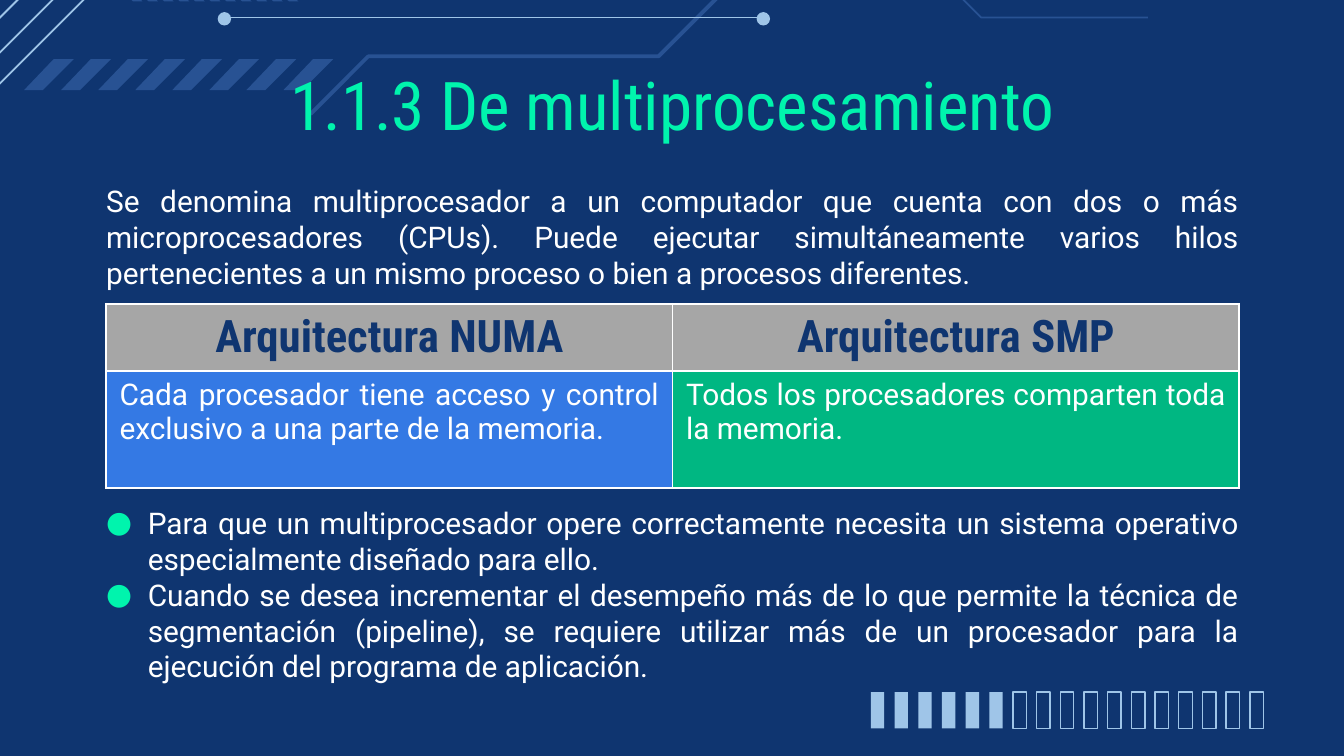
"""Build the slide on multiprocessing with its table and circuit decoration."""
import pptx
import pptx.dml.color
import pptx.enum.shapes
import pptx.enum.text
import pptx.oxml
import pptx.oxml.ns
import pptx.util
from lxml import etree

Inches = pptx.util.Inches
Pt = pptx.util.Pt
ALIGN = pptx.enum.text.PP_ALIGN
SHAPES = pptx.enum.shapes.MSO_SHAPE
NAVY, SKY, STEEL, MINT, WHITE = "0F3570", "9FC5E8", "285293", "00F4AD", "FFFFFF"


def paint(fill, colour):
    """Give a fill one solid colour."""
    fill.solid()
    fill.fore_color.rgb = pptx.dml.color.RGBColor.from_string(colour)


def write(para, text, look, colour, align):
    """Add a formatted run of text to a paragraph."""
    para.alignment = align
    span = para.add_run()
    span.text = text
    for name, value in look.items():
        setattr(span.font, name, value)
    paint(span.font.fill, colour)


title_look = {"name": "Roboto Condensed", "size": Pt(36), "bold": False}
head_look = {"name": "Roboto Condensed", "size": Pt(24), "bold": True}
body_look = {"name": "Roboto", "size": Pt(16), "bold": False}

deck = pptx.Presentation()
deck.slide_width, deck.slide_height = Inches(10), Inches(10 * 9 / 16)
page = deck.slides.add_slide(deck.slide_layouts[6])
paint(page.background.fill, NAVY)

circuits = [
    ([(2.31, 0.85), (2.74, 0.42), (4.9, 0.42), (5.47, -0.15), (6.46, -0.15)], 2),
    ([(5.85, -0.38), (6.79, -0.38), (7.3, 0.13), (8.54, 0.13)], 1),
]
for points, weight in circuits:
    start, *rest = [(Inches(x), Inches(y)) for x, y in points]
    builder = page.shapes.build_freeform(*start)
    builder.add_line_segments(rest, close=False)
    circuit = builder.convert_to_shape()
    circuit.shadow.inherit = False
    circuit.fill.background()
    paint(circuit.line.fill, STEEL)
    circuit.line.width = Pt(weight)

wires = [
    (-0.19, 0.81, 1.27, -0.65),
    (-0.43, 0.82, 1.05, -0.66),
    (-0.61, 0.74, 0.87, -0.74),
    (1.67, 0.13, 5.64, 0.13),
]
for ends in wires:
    wire = page.shapes.add_connector(
        pptx.enum.shapes.MSO_CONNECTOR.STRAIGHT, *map(Inches, ends))
    paint(wire.line.fill, SKY)
    wire.line.width = Pt(1)
    properties = wire._element.spPr
    etree.SubElement(properties, pptx.oxml.ns.qn("a:effectLst"))

for left in (1.62, 5.63):
    node = page.shapes.add_shape(
        SHAPES.OVAL, Inches(left), Inches(0.09), Inches(0.1), Inches(0.1))
    node.shadow.inherit = False
    paint(node.fill, SKY)
    node.line.fill.background()

stripe = [(0.14, 0.23), (0.37, 0), (0.22, 0), (0, 0.23)]
chevron = [(0.19, 0.2), (0.08, 0.1), (0.18, 0), (0.11, 0), (0, 0.1), (0.12, 0.2)]
patterns = [(stripe, 0.18, 0.44, 1.93 / 7, 8), (chevron, 0.87, -0.19, 1.16 / 10, 11)]
for outline, left, top, pitch, count in patterns:
    for index in range(count):
        start, *rest = [(Inches(left + index * pitch + x), Inches(top + y))
                        for x, y in outline]
        builder = page.shapes.build_freeform(*start)
        builder.add_line_segments(rest)
        mark = builder.convert_to_shape()
        mark.shadow.inherit = False
        paint(mark.fill, STEEL)
        mark.line.fill.background()

for index in range(17):
    bar = page.shapes.add_shape(
        SHAPES.RECTANGLE, Inches(6.48 + index * 2.82 / 16), Inches(5.15),
        Inches(0.1), Inches(0.27))
    bar.shadow.inherit = False
    if index < 6:
        paint(bar.fill, SKY)
        bar.line.fill.background()
    else:
        bar.fill.background()
        paint(bar.line.fill, SKY)
        bar.line.width = Pt(0.75)

frame_format = {
    "margin_left": 0, "margin_right": 0, "margin_top": 0, "margin_bottom": 0,
    "word_wrap": True, "vertical_anchor": pptx.enum.text.MSO_ANCHOR.TOP,
}
frames = []
for top, height in ((1.36, 3.64), (0.47, 0.53)):
    box = page.shapes.add_textbox(
        Inches(0.79), Inches(top), Inches(8.43), Inches(height))
    for name, value in frame_format.items():
        setattr(box.text_frame, name, value)
    frames.append(box.text_frame)
body, title = frames

write(title.paragraphs[0], "1.1.3 De multiprocesamiento", title_look, MINT, ALIGN.CENTER)
write(
    body.paragraphs[0],
    "Se denomina multiprocesador a un computador que cuenta con dos o más "
    "microprocesadores (CPUs). Puede ejecutar simultáneamente varios hilos "
    "pertenecientes a un mismo proceso o bien a procesos diferentes.",
    body_look, WHITE, ALIGN.JUSTIFY)

bullets = [
    ("Para que un multiprocesador opere correctamente necesita un sistema "
     "operativo especialmente diseñado para ello.", 115),
    ("Cuando se desea incrementar el desempeño más de lo que permite la técnica "
     "de segmentación (pipeline), se requiere utilizar más de un procesador para "
     "la ejecución del programa de aplicación.", 0),
]
for text, gap in bullets:
    para = body.add_paragraph()
    para.space_before = Pt(gap)
    properties = para._p.get_or_add_pPr()
    properties.set("marL", str(Inches(0.31)))
    properties.set("indent", str(-Inches(0.31)))
    colour = etree.SubElement(properties, pptx.oxml.ns.qn("a:buClr"))
    etree.SubElement(colour, pptx.oxml.ns.qn("a:srgbClr"), val=MINT)
    etree.SubElement(properties, pptx.oxml.ns.qn("a:buFont"), typeface="Roboto")
    etree.SubElement(properties, pptx.oxml.ns.qn("a:buChar"), char="●")
    write(para, text, body_look, WHITE, ALIGN.JUSTIFY)

table = page.shapes.add_table(
    2, 2, Inches(0.79), Inches(2.26), Inches(8.43), Inches(1.36)).table
for row, height in zip(table.rows, (0.49, 0.87)):
    row.height = Inches(height)
rows = [
    (head_look, NAVY, ALIGN.CENTER,
     [("Arquitectura NUMA", "A6A6A6"), ("Arquitectura SMP", "A6A6A6")]),
    (body_look, WHITE, ALIGN.JUSTIFY,
     [("Cada procesador tiene acceso y control exclusivo a una parte de la memoria.",
       "3479E4"),
      ("Todos los procesadores comparten toda la memoria.", "00B782")]),
]
for row, (look, colour, align, entries) in enumerate(rows):
    for column, (text, back) in enumerate(entries):
        cell = table.cell(row, column)
        write(cell.text_frame.paragraphs[0], text, look, colour, align)
        properties = cell._tc.get_or_add_tcPr()
        for side in ("lnL", "lnR", "lnT", "lnB"):
            border = etree.SubElement(
                properties, pptx.oxml.ns.qn("a:" + side), w=str(Pt(1)))
            solid = etree.SubElement(border, pptx.oxml.ns.qn("a:solidFill"))
            etree.SubElement(solid, pptx.oxml.ns.qn("a:srgbClr"), val=WHITE)
        paint(cell.fill, back)

deck.save("out.pptx")
